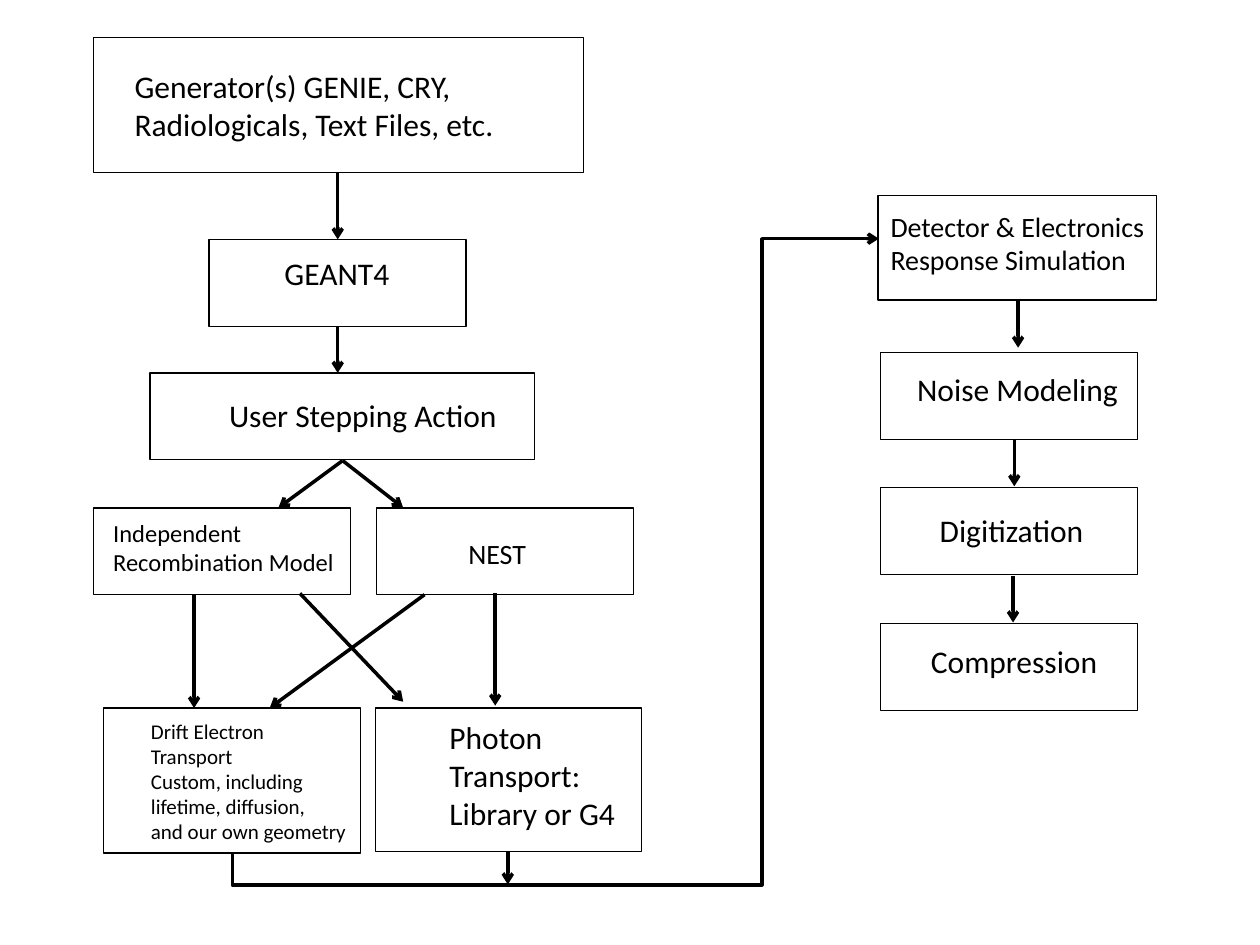
"""Build a one-slide flow chart of a detector simulation chain."""
import pptx
import pptx.dml.color
import pptx.enum.shapes
import pptx.enum.text
import pptx.oxml
import pptx.oxml.ns
import pptx.util

Pt = pptx.util.Pt
qn = pptx.oxml.ns.qn
MSO_CONNECTOR = pptx.enum.shapes.MSO_CONNECTOR
COLORS = {"ink": "000000"}
INK = pptx.dml.color.RGBColor.from_string(COLORS["ink"])
STEP_W, STEP_H = 146.9, 49.7
FRAME_FORMAT = {
    "word_wrap": False,
    "auto_size": pptx.enum.text.MSO_AUTO_SIZE.SHAPE_TO_FIT_TEXT,
    "vertical_anchor": pptx.enum.text.MSO_ANCHOR.TOP,
}

steps = [
    ((53.3, 21.6, 280.1, 77), (69.8, 34.6, 229.7, 51.1), 18,
     ["Generator(s) GENIE, CRY,", "Radiologicals, Text Files, etc."]),
    ((119.5, 136.8, STEP_W, STEP_H), (155.5, 141.8, 74.9, 28.8), 18, ["GEANT4"]),
    ((85.7, 213.1, 219.6, STEP_H), (123.8, 222.5, 169.2, 28.8), 18,
     ["User Stepping Action"]),
    ((53.3, 290.2, STEP_W, STEP_H), (57.6, 292.3, 141.8, 41), 14,
     ["Independent", "Recombination Model"]),
    ((215.3, 290.2, STEP_W, STEP_H), (260.6, 303.1, 48.2, 26.6), 16, ["NEST"]),
    ((59, 404.6, STEP_W, 82.8), (79.2, 406.8, 127.4, 79.9), 12,
     ["Drift Electron", "Transport", "Custom, including",
      "lifetime, diffusion,", "and our own geometry"]),
    ((214.6, 404.6, 151.9, 82.1), (249.8, 406.8, 110.2, 72.7), 18,
     ["Photon", "Transport:", "Library or G4"]),
    ((501.8, 111.6, 159.1, 59.8), (501.8, 115.9, 162, 46), 16,
     ["Detector & Electronics", "Response Simulation"]),
    ((503.3, 201.6, STEP_W, STEP_H), (517, 208.1, 130.3, 28.8), 18,
     ["Noise Modeling"]),
    ((503.3, 278.6, STEP_W, STEP_H), (529.9, 288.7, 97.9, 28.8), 18,
     ["Digitization"]),
    ((503.3, 356.4, STEP_W, STEP_H), (524.9, 363.6, 110.9, 28.8), 18,
     ["Compression"]),
]
arrows = [
    (193, 98.3, 193, 136.8),
    (193, 186.5, 193, 213.1),
    (195.8, 263.2, 159.1, 290.2),
    (195.8, 263.2, 230.4, 290.2),
    (171.4, 339.1, 230.4, 401),
    (242.6, 339.8, 154.1, 404.6),
    (283, 339.1, 283, 403.2),
    (110.9, 339.8, 110.9, 404.6),
    (290.2, 486.7, 290.2, 505.4),
    (581.8, 172.1, 581.8, 198.7),
    (579.6, 251.3, 579.6, 277.9),
    (578.9, 329, 578.9, 355.7),
]

presentation = pptx.Presentation()
presentation.slide_width, presentation.slide_height = Pt(720), Pt(540)
slide = presentation.slides.add_slide(presentation.slide_layouts[6])


def add_arrow(kind, ends):
    arrow = slide.shapes.add_connector(kind, *map(Pt, ends))
    arrow.line.color.rgb = INK
    arrow.line.width = Pt(2)
    pptx.oxml.ns.qn
    tail = arrow.line._get_or_add_ln().makeelement(qn("a:tailEnd"), {"type": "arrow"})
    arrow.line._get_or_add_ln().append(tail)
    properties = arrow._element.spPr
    properties.append(properties.makeelement(qn("a:effectLst"), {}))
    return properties


for box, label_area, size, lines in steps:
    outline = slide.shapes.add_shape(
        pptx.enum.shapes.MSO_SHAPE.RECTANGLE, *map(Pt, box))
    outline.shadow.inherit = False
    outline.fill.background()
    outline.line.color.rgb = INK
    outline.line.width = Pt(0.75)

    frame = slide.shapes.add_textbox(*map(Pt, label_area)).text_frame
    for attribute, value in FRAME_FORMAT.items():
        setattr(frame, attribute, value)
    frame.text = "\n".join(lines)
    for paragraph in frame.paragraphs:
        font = paragraph.runs[0].font
        for attribute, value in {"name": "Calibri", "size": Pt(size)}.items():
            setattr(font, attribute, value)
        font.color.rgb = INK

for ends in arrows:
    add_arrow(MSO_CONNECTOR.STRAIGHT, ends)

transport_to_response = add_arrow(MSO_CONNECTOR.ELBOW, (493.2, 496.8, 141.8, 127.4))
transport_to_response.find(qn("a:xfrm")).set("rot", "5400000")
route = transport_to_response.find(qn("a:prstGeom"))
route.set("prst", "bentConnector4")
bends = route.find(qn("a:avLst"))
for guide, share in {"adj1": -5100, "adj2": 81900}.items():
    bends.append(bends.makeelement(qn("a:gd"), {"name": guide, "fmla": f"val {share}"}))

presentation.save("out.pptx")
